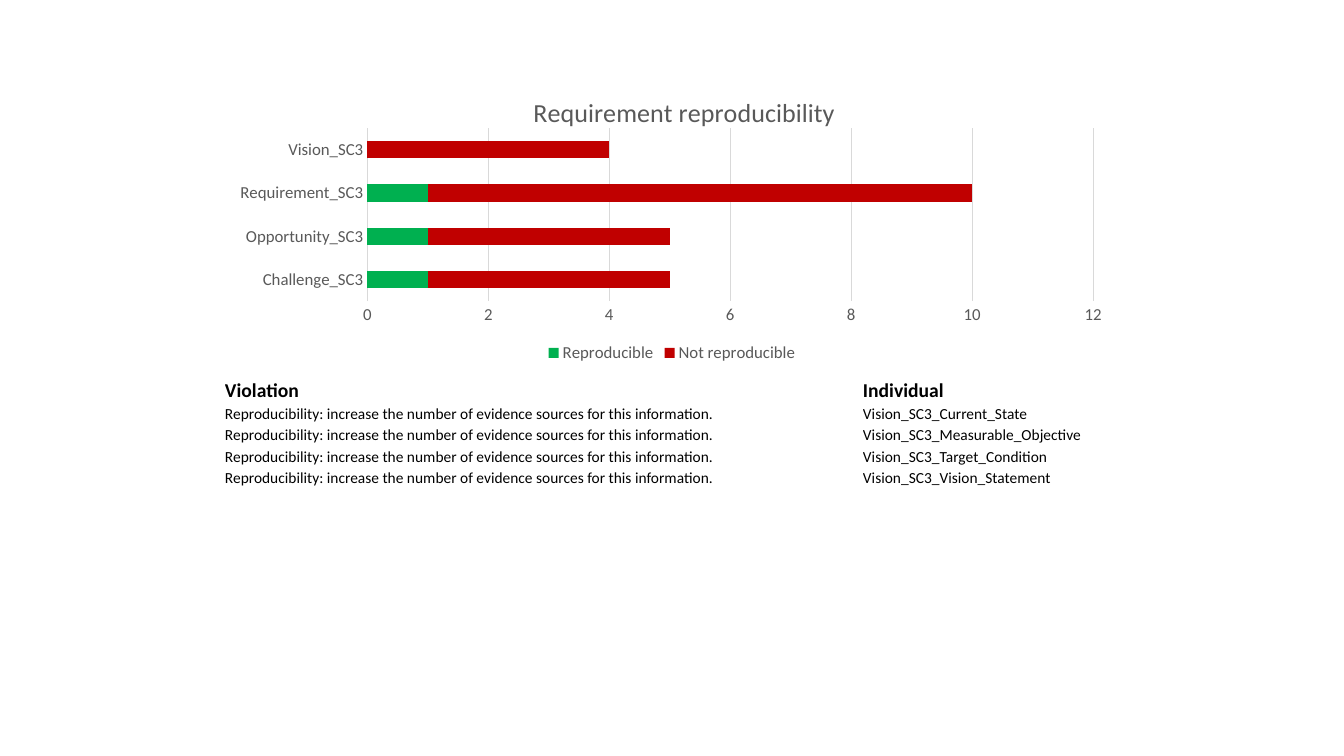
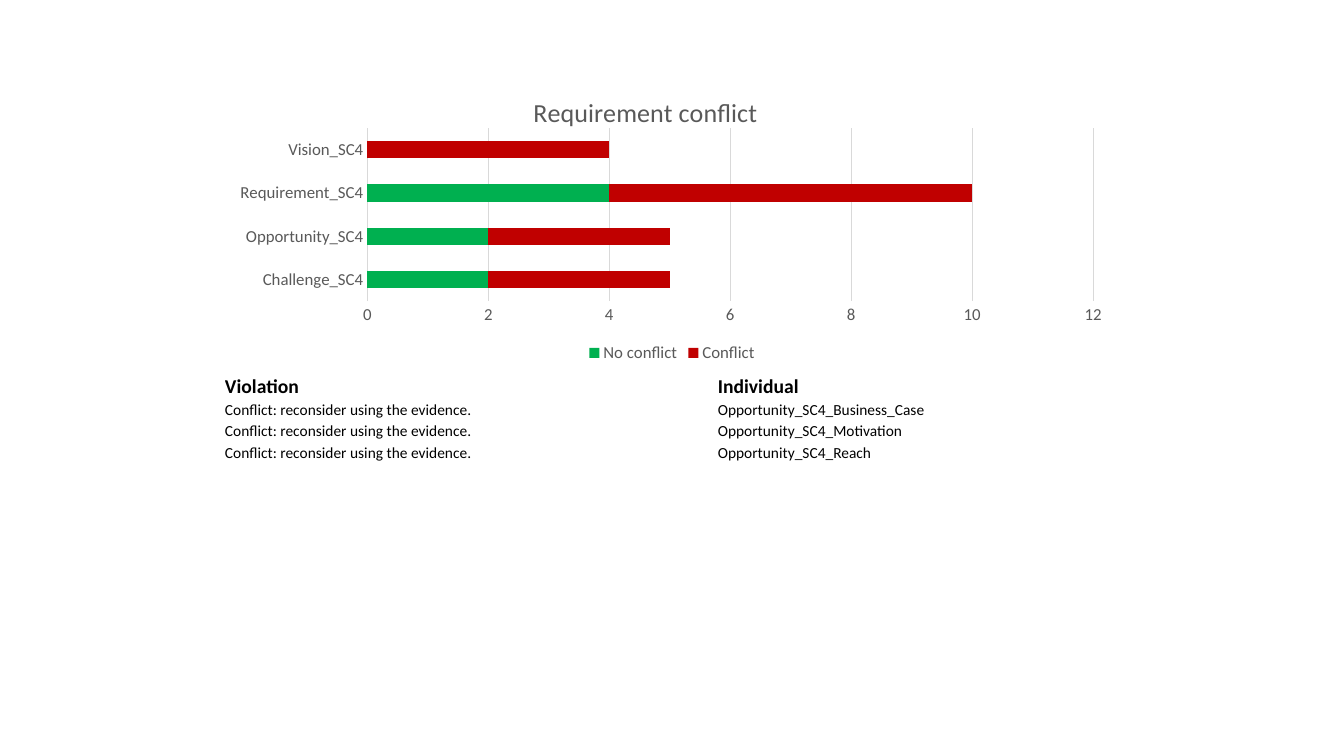
import dataclasses

import lxml.etree
import pptx
import pptx.chart.data
import pptx.dml.color
import pptx.enum.chart
import pptx.enum.text
import pptx.oxml.ns
import pptx.util


@dataclasses.dataclass(frozen=True)
class Theme:
    font: str = "Calibri"
    text: str = "000000"
    muted: str = "595959"
    grid: str = "D9D9D9"
    series: tuple = ("00B050", "C00000")
    title_size: float = 18.6
    label_size: float = 12
    header_size: float = 14
    body_size: float = 11
    line_width: float = 0.75


@dataclasses.dataclass(frozen=True)
class Box:
    left: float
    top: float
    width: float
    height: float


THEME = Theme()
SLIDE_WIDTH, SLIDE_HEIGHT = 13.33, 7.5
COLUMN = SLIDE_WIDTH / 6
CHART_BOX = Box(COLUMN, 0.68, 4 * COLUMN, 2.96)
ROW_HEIGHT = 0.21
PLOT_SHARES = {"x": 0.16, "y": 0.2, "w": 0.81, "h": 0.58}
TITLE_SHARES = {"x": 0.34, "y": 0.07}
CELL_FORMAT = {
    "vertical_anchor": pptx.enum.text.MSO_ANCHOR.BOTTOM,
    "margin_left": pptx.util.Inches(0.01),
    "margin_right": pptx.util.Inches(0.01),
    "margin_top": pptx.util.Inches(0.01),
    "margin_bottom": 0,
}

REPORTS = [
    {
        "title": "Requirement reproducibility",
        "suffix": "SC3",
        "series": {"Reproducible": (1, 1, 1, 0), "Not reproducible": (4, 4, 9, 4)},
        "violation": "Reproducibility: increase the number of evidence sources for this information.",
        "individuals": [
            "Vision_SC3_Current_State",
            "Vision_SC3_Measurable_Objective",
            "Vision_SC3_Target_Condition",
            "Vision_SC3_Vision_Statement",
        ],
        "table_top": 3.75,
        "column_weights": (6.33, 2.56),
    },
    {
        "title": "Requirement conflict",
        "suffix": "SC4",
        "series": {"No conflict": (2, 2, 4, 0), "Conflict": (3, 3, 6, 4)},
        "violation": "Conflict: reconsider using the evidence.",
        "individuals": [
            "Opportunity_SC4_Business_Case",
            "Opportunity_SC4_Motivation",
            "Opportunity_SC4_Reach",
        ],
        "table_top": 3.71,
        "column_weights": (4.89, 4),
    },
]


def apply_format(target, values):
    for name, value in values.items():
        setattr(target, name, value)


def color(value):
    return pptx.dml.color.RGBColor.from_string(value)


def style_font(font, size, fill, bold=False):
    apply_format(font, {"name": THEME.font, "size": pptx.util.Pt(size), "bold": bold})
    font.color.rgb = color(fill)


def style_line(line):
    line.color.rgb = color(THEME.grid)
    line.width = pptx.util.Pt(THEME.line_width)


def to_lengths(box):
    return [pptx.util.Inches(length) for length in dataclasses.astuple(box)]


def place_chart_part(part, shares, inner=False):
    tag = pptx.oxml.ns.qn
    layout = part.find(tag("c:layout"))
    if layout is None:
        layout = lxml.etree.Element(tag("c:layout"))
        text = part.find(tag("c:tx"))
        part.insert(0 if text is None else part.index(text) + 1, layout)
    for child in list(layout):
        layout.remove(child)
    manual = lxml.etree.SubElement(layout, tag("c:manualLayout"))
    settings = {"layoutTarget": "inner"} if inner else {}
    settings |= {"xMode": "edge", "yMode": "edge"}
    settings |= {name: str(share) for name, share in shares.items()}
    for name, value in settings.items():
        lxml.etree.SubElement(manual, tag(f"c:{name}")).set("val", value)


def style_axes(chart):
    for axis in (chart.category_axis, chart.value_axis):
        apply_format(axis, {
            "major_tick_mark": pptx.enum.chart.XL_TICK_MARK.NONE,
            "minor_tick_mark": pptx.enum.chart.XL_TICK_MARK.NONE,
        })
        style_font(axis.tick_labels.font, THEME.label_size, THEME.muted)
    style_line(chart.category_axis.format.line)
    apply_format(chart.value_axis, {
        "minimum_scale": 0,
        "maximum_scale": 12,
        "major_unit": 2,
        "has_major_gridlines": True,
    })
    chart.value_axis.format.line.fill.background()
    style_line(chart.value_axis.major_gridlines.format.line)


def add_requirement_chart(slide, box, report):
    data = pptx.chart.data.CategoryChartData()
    data.categories = [
        f"{kind}_{report['suffix']}"
        for kind in ("Challenge", "Opportunity", "Requirement", "Vision")
    ]
    for name, values in report["series"].items():
        data.add_series(name, values)
    chart = slide.shapes.add_chart(
        pptx.enum.chart.XL_CHART_TYPE.BAR_STACKED, *to_lengths(box), data
    ).chart
    style_font(chart.font, THEME.label_size, THEME.muted)

    plot = chart.plots[0]
    apply_format(plot, {"gap_width": 150, "overlap": 100, "vary_by_categories": False})
    for series, fill in zip(plot.series, THEME.series):
        series.format.fill.solid()
        series.format.fill.fore_color.rgb = color(fill)
    style_axes(chart)

    chart.has_legend = True
    apply_format(chart.legend, {
        "position": pptx.enum.chart.XL_LEGEND_POSITION.BOTTOM,
        "include_in_layout": False,
    })
    style_font(chart.legend.font, THEME.label_size, THEME.muted)

    chart.has_title = True
    paragraph = chart.chart_title.text_frame.paragraphs[0]
    run = paragraph.add_run()
    run.text = report["title"]
    style_font(run.font, THEME.title_size, THEME.muted)

    place_chart_part(chart.element.xpath("c:chart/c:title")[0], TITLE_SHARES)
    place_chart_part(chart.element.xpath("c:chart/c:plotArea")[0], PLOT_SHARES, inner=True)


def add_violation_table(slide, box, rows, weights):
    table = slide.shapes.add_table(len(rows), len(weights), *to_lengths(box)).table
    apply_format(table, {"first_row": False, "horz_banding": False})
    for column, weight in zip(table.columns, weights):
        column.width = pptx.util.Inches(box.width * weight / sum(weights))
    for row_index, (row, texts) in enumerate(zip(table.rows, rows)):
        row.height = pptx.util.Inches(box.height / len(rows))
        header = row_index == 0
        size = THEME.header_size if header else THEME.body_size
        for cell, text in zip(row.cells, texts):
            apply_format(cell, CELL_FORMAT)
            cell.fill.background()
            run = cell.text_frame.paragraphs[0].add_run()
            run.text = text
            style_font(run.font, size, THEME.text, header)


def add_report_slide(presentation, report):
    slide = presentation.slides.add_slide(presentation.slide_layouts[6])
    add_requirement_chart(slide, CHART_BOX, report)
    rows = [("Violation", "Individual")]
    rows += [(report["violation"], name) for name in report["individuals"]]
    table_box = Box(
        CHART_BOX.left, report["table_top"], CHART_BOX.width, ROW_HEIGHT * len(rows)
    )
    add_violation_table(slide, table_box, rows, report["column_weights"])


def main():
    presentation = pptx.Presentation()
    apply_format(presentation, {
        "slide_width": pptx.util.Inches(SLIDE_WIDTH),
        "slide_height": pptx.util.Inches(SLIDE_HEIGHT),
    })
    for report in REPORTS:
        add_report_slide(presentation, report)
    presentation.save("out.pptx")


if __name__ == "__main__":
    main()
